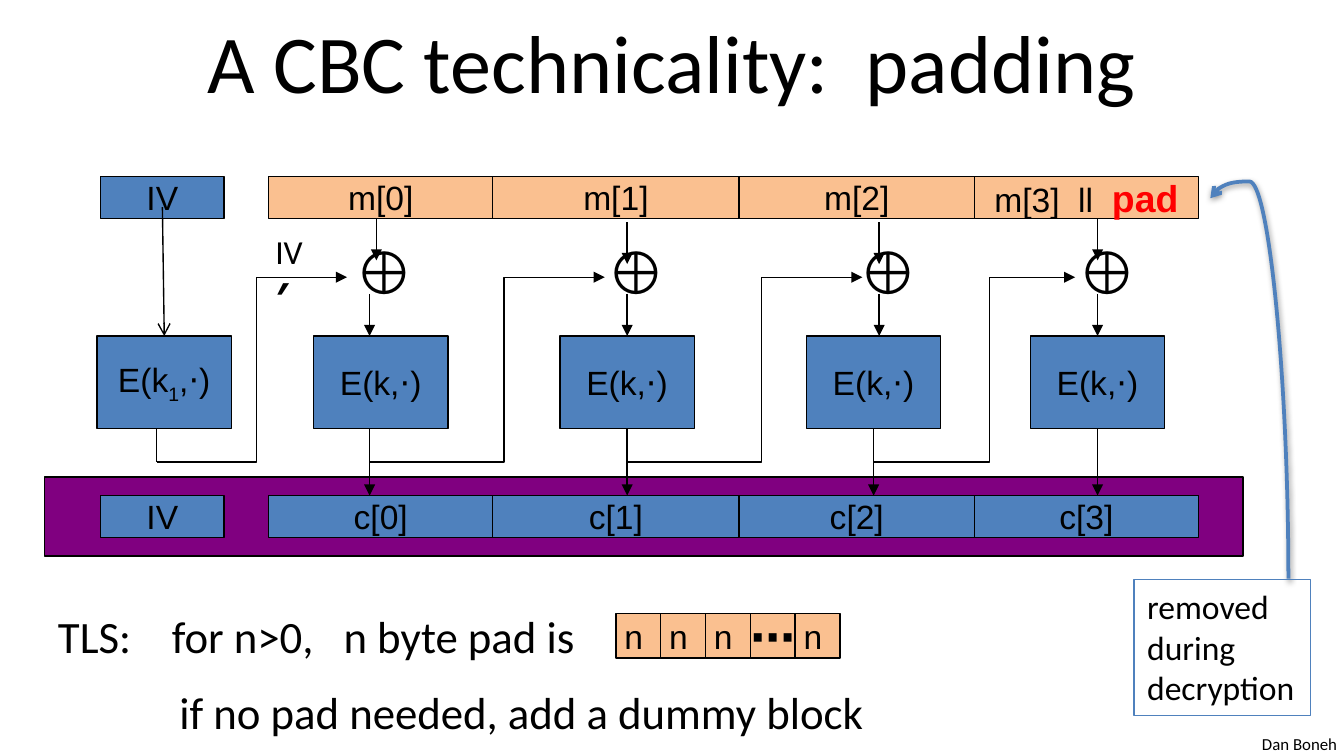
from lxml import etree
from pptx import Presentation
from pptx.dml.color import RGBColor
from pptx.enum import shapes, text
from pptx.oxml import ns
from pptx.util import Pt

C = {"black": "000000", "blue": "4F81BD", "peach": "FAC090",
     "purple": "800080", "red": "FF0000"}

prs = Presentation()
prs.slide_width, prs.slide_height = Pt(720), Pt(405)
s = prs.slides.add_slide(prs.slide_layouts[6])


def add_text(paras, x, y, w, h, fill=None, line=None, font="Arial", size=18,
             center=False, middle=False, wrap=False, grow=False, before=0):
    box = [Pt(v) for v in (x, y, w, h)]
    if fill or line:
        sp = s.shapes.add_shape(shapes.MSO_SHAPE.RECTANGLE, *box)
        sp.shadow.inherit = False
        sp.line.color.rgb = RGBColor.from_string(C[line or "black"])
        sp.line.width = Pt(0.75)
        if fill:
            sp.fill.solid()
            sp.fill.fore_color.rgb = RGBColor.from_string(C[fill])
        else:
            sp.fill.background()
    else:
        sp = s.shapes.add_textbox(*box)
    tf = sp.text_frame
    tf.word_wrap = wrap
    tf.auto_size = (text.MSO_AUTO_SIZE.SHAPE_TO_FIT_TEXT if grow
                    else text.MSO_AUTO_SIZE.NONE)
    tf.vertical_anchor = text.MSO_ANCHOR.MIDDLE if middle else text.MSO_ANCHOR.TOP
    if isinstance(paras, str):
        paras = [[(t, {})] for t in paras.split("\n")]
    for i, runs in enumerate(paras):
        p = tf.add_paragraph() if i else tf.paragraphs[0]
        p.alignment = text.PP_ALIGN.CENTER if center else text.PP_ALIGN.LEFT
        if i and before:
            p.space_before = Pt(before)
        for t, fmt in runs:
            r = p.add_run()
            r.text = t
            r.font.name = font
            r.font.size = Pt(fmt.get("size", size))
            r.font.bold = fmt.get("bold", False)
            r.font.color.rgb = RGBColor.from_string(C[fmt.get("color", "black")])
            if "base" in fmt:
                r.font._element.set("baseline", str(fmt["base"] * 1000))
    return sp


def add_line(*pts, head="triangle", color="black", width=0.75, curve=False):
    ends = [(Pt(x), Pt(y)) for x, y in pts]
    if len(ends) == 2:
        kind = shapes.MSO_CONNECTOR.CURVE if curve else shapes.MSO_CONNECTOR.STRAIGHT
        sp = s.shapes.add_connector(kind, *ends[0], *ends[1])
        etree.SubElement(sp._element.spPr, ns.qn("a:effectLst"))
    else:
        fb = s.shapes.build_freeform(*ends[0])
        fb.add_line_segments(ends[1:], close=False)
        sp = fb.convert_to_shape()
        sp.fill.background()
        sp.shadow.inherit = False
    sp.line.color.rgb = RGBColor.from_string(C[color])
    sp.line.width = Pt(width)
    if head:
        etree.SubElement(sp.line._ln, ns.qn("a:tailEnd"), type=head)
    return sp


cell = dict(center=True, middle=True)

add_text("Dan Boneh", 669, 389.5, 54.7, 18, font="Calibri", size=9, grow=True)
add_text("A CBC technicality:  padding", 36, -1.5, 648, 67.5,
         font="Calibri", size=44, wrap=True, **cell)
add_text("", 24, 255.5, 642, 42.5, fill="purple")

blocks = [(144, 120), (264, 132), (396, 126), (522, 120)]
for i, (x, w) in enumerate(blocks):
    message = f"m[{i}]"
    if i == 3:
        message = [[("m[3]  ll  ", {}),
                    ("pad", dict(size=20, bold=True, color="red"))]]
    add_text(message, x, 94.5, w, 22.5, fill="peach", **cell)
    add_text(f"c[{i}]", x, 265.5, w, 22.5, fill="blue", **cell)
for y in (94.5, 265.5):
    add_text("IV", 54, y, 66, 22.5, fill="blue", **cell)

stages = [(168, 183, 201.6, 117, 198, 198),
          (300, 318, 336, 119, 336, 336),
          (432, 453, 471, 119, 471, 468),
          (552, 570, 588, 117, 588, 588)]
for box, xor, top, y, mid, out in stages:
    add_text("E(k,⋅)", box, 180, 72, 49.5, fill="blue", **cell)
    add_text("⊕", xor, 122.4, 39.6, 46, size=32, grow=True)
    add_line((top, y), (top, y + 22.5))
    add_line((mid, 157.5), (mid, 180))
    add_line((out, 229.5), (out, 265.5))

for x, turn, end in [(84, 137.5, 186), (198, 270, 324),
                     (336, 408, 462), (468, 530, 576)]:
    add_line((x, 247.5), (turn, 247.5), (turn, 148.5), (end, 148.5))

add_line((84, 229.5), (84, 247.5), head=None)
add_text([[("E(k", {}), ("1", dict(base=-25)), (",⋅)", {})]],
         52, 180, 72, 49.5, fill="blue", **cell)
add_line((87, 111), (88, 180), head="arrow")
add_text([[("IV", {}), ("′", dict(size=23.9, bold=True))]],
         140.4, 120.2, 34.6, 36, font="Calibri", wrap=True)

rule = add_text("TLS:\tfor n>0,\tn byte pad is\nif no pad needed, add a dummy block",
                24, 322.5, 449, 78, font="Calibri", size=24, grow=True, before=12)
first, second = [p._p.get_or_add_pPr() for p in rule.text_frame.paragraphs]
tabs = etree.SubElement(first, ns.qn("a:tabLst"))
for stop in (61, 153):
    etree.SubElement(tabs, ns.qn("a:tab"), pos=str(Pt(stop)), algn="l")
second.set("marL", str(Pt(65)))
second.set("indent", "0")

for i, t in enumerate(["n ", "n ", "n ", "⋯", "n "]):
    dots = t == "⋯"
    add_text([[(t, dict(size=24 if dots else 18, bold=dots))]],
             330 + 24 * i, 328.5, 24, 24, fill="peach", **cell)

curve = add_line((567.4, 229), (771.2, 187.2), head="arrow", color="blue",
                 width=2, curve=True)
spPr = curve._element.spPr
spPr.find(ns.qn("a:xfrm")).set("rot", "16200000")
guides = spPr.find(ns.qn("a:prstGeom")).get_or_add_avLst()
etree.SubElement(guides, ns.qn("a:gd"), name="adj1", fmla="val 104400")
shadow = etree.SubElement(spPr.find(ns.qn("a:effectLst")), ns.qn("a:outerShdw"),
                          blurRad=str(Pt(3.1)), dist=str(Pt(1.6)),
                          dir="5400000", rotWithShape="0")
tint = etree.SubElement(shadow, ns.qn("a:srgbClr"), val=C["black"])
etree.SubElement(tint, ns.qn("a:alpha"), val="38000")

add_text("removed\nduring\ndecryption", 607.5, 310.5, 94.5, 72.7,
         line="blue", font="Calibri", grow=True)

prs.save("out.pptx")
